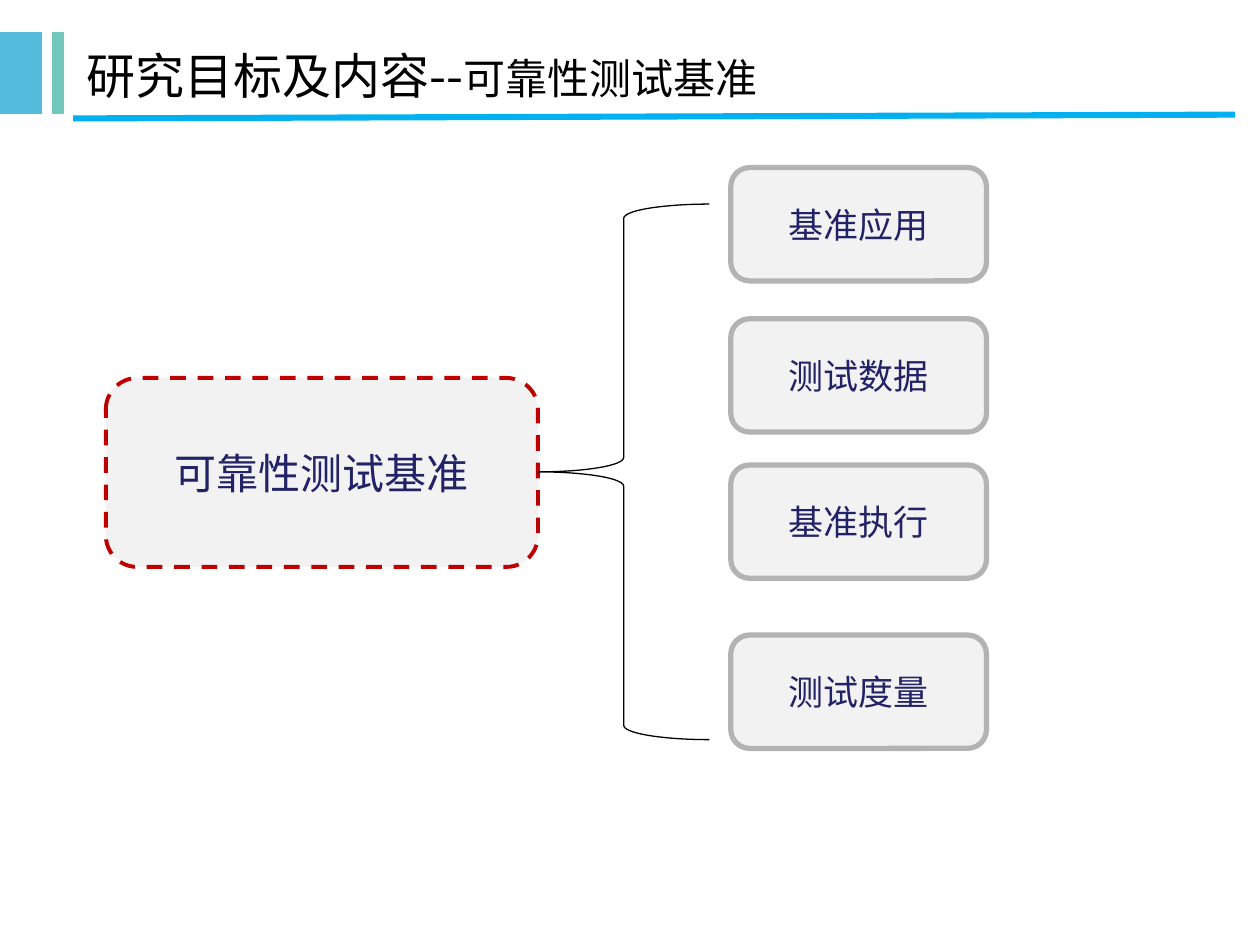
"""Build a slide that splits the reliability test benchmark into four parts."""
import pptx
import pptx.dml.color
import pptx.enum.dml
import pptx.enum.shapes
import pptx.enum.text
import pptx.oxml
import pptx.oxml.ns
import pptx.util
from pptx.dml.color import RGBColor
from pptx.util import Inches

BLACK = RGBColor(0x00, 0x00, 0x00)
NAVY = RGBColor(0x22, 0x22, 0x67)
RED = RGBColor(0xC0, 0x00, 0x00)
SKY = RGBColor(0x00, 0xB0, 0xF0)
BLUE = RGBColor(0x54, 0xBB, 0xDC)
TEAL = RGBColor(0x73, 0xC8, 0xBE)
PALE = RGBColor(0xF2, 0xF2, 0xF2)
GREY = RGBColor(0xB3, 0xB3, 0xB3)
CHINESE_FONT = "Noto Sans CJK SC"
SHAPES = pptx.enum.shapes.MSO_SHAPE


def add_text(para, text, size=20, color=NAVY, font="Arial"):
    span = para.add_run()
    span.text = text
    span.font.size = pptx.util.Pt(size)
    span.font.color.rgb = color
    span.font.name = font
    east_asian = pptx.oxml.parse_xml(
        f'<a:ea {pptx.oxml.ns.nsdecls("a")} typeface="{CHINESE_FONT}"/>')
    span.font._element.find(pptx.oxml.ns.qn("a:latin")).addnext(east_asian)


class Painter:
    def __init__(self, page):
        self.page = page

    def shape(self, kind, place, line, fill=None, width=0.75):
        box = self.page.shapes.add_shape(kind, *map(Inches, place))
        box.shadow.inherit = False
        if fill is None:
            box.fill.background()
        else:
            box.fill.solid()
            box.fill.fore_color.rgb = fill
        box.line.color.rgb = line
        box.line.width = pptx.util.Pt(width)
        return box

    def card(self, text, place, line=GREY, width=3, size=20):
        box = self.shape(SHAPES.ROUNDED_RECTANGLE, place, line, PALE, width)
        box.text_frame.vertical_anchor = pptx.enum.text.MSO_ANCHOR.MIDDLE
        para = box.text_frame.paragraphs[0]
        para.alignment = pptx.enum.text.PP_ALIGN.CENTER
        add_text(para, text, size=size)
        return box

    def title(self, place, parts):
        box = self.page.shapes.add_textbox(*map(Inches, place))
        box.text_frame.word_wrap = True
        box.text_frame.vertical_anchor = pptx.enum.text.MSO_ANCHOR.MIDDLE
        for text, size in parts:
            add_text(box.text_frame.paragraphs[0], text, size=size,
                     color=BLACK, font=CHINESE_FONT)

    def rule(self, start, end, color, width):
        line = self.page.shapes.add_connector(
            pptx.enum.shapes.MSO_CONNECTOR.STRAIGHT, *map(Inches, start + end))
        line.line.color.rgb = color
        line.line.width = pptx.util.Pt(width)
        line._element.spPr.append(pptx.oxml.parse_xml(
            f'<a:effectLst {pptx.oxml.ns.nsdecls("a")}/>'))


def main():
    deck = pptx.Presentation()
    deck.slide_width, deck.slide_height = Inches(10), Inches(7.5)
    painter = Painter(deck.slides.add_slide(deck.slide_layouts[6]))

    painter.shape(SHAPES.RECTANGLE, (0, 0.26, 0.33, 0.64), BLUE, BLUE)
    painter.shape(SHAPES.RECTANGLE, (0.42, 0.26, 0.08, 0.64), TEAL, TEAL)
    painter.title((0.59, 0.26, 9.08, 0.67),
                  [("研究目标及内容--", 28), ("可靠性测试基准", 24)])
    painter.rule((0.58, 0.94), (9.8, 0.91), SKY, 3.5)

    benchmark = painter.card("可靠性测试基准", (0.84, 3, 3.43, 1.5),
                             line=RED, width=2.25, size=24)
    benchmark.line.dash_style = pptx.enum.dml.MSO_LINE.DASH
    parts = [("基准应用", 1.33), ("测试数据", 2.53),
             ("基准执行", 3.69), ("测试度量", 5.04)]
    for text, top in parts:
        painter.card(text, (5.8, top, 2.03, 0.9))
    painter.shape(SHAPES.LEFT_BRACE, (4.27, 1.62, 1.36, 4.25), BLACK)

    deck.save("out.pptx")


if __name__ == "__main__":
    main()
